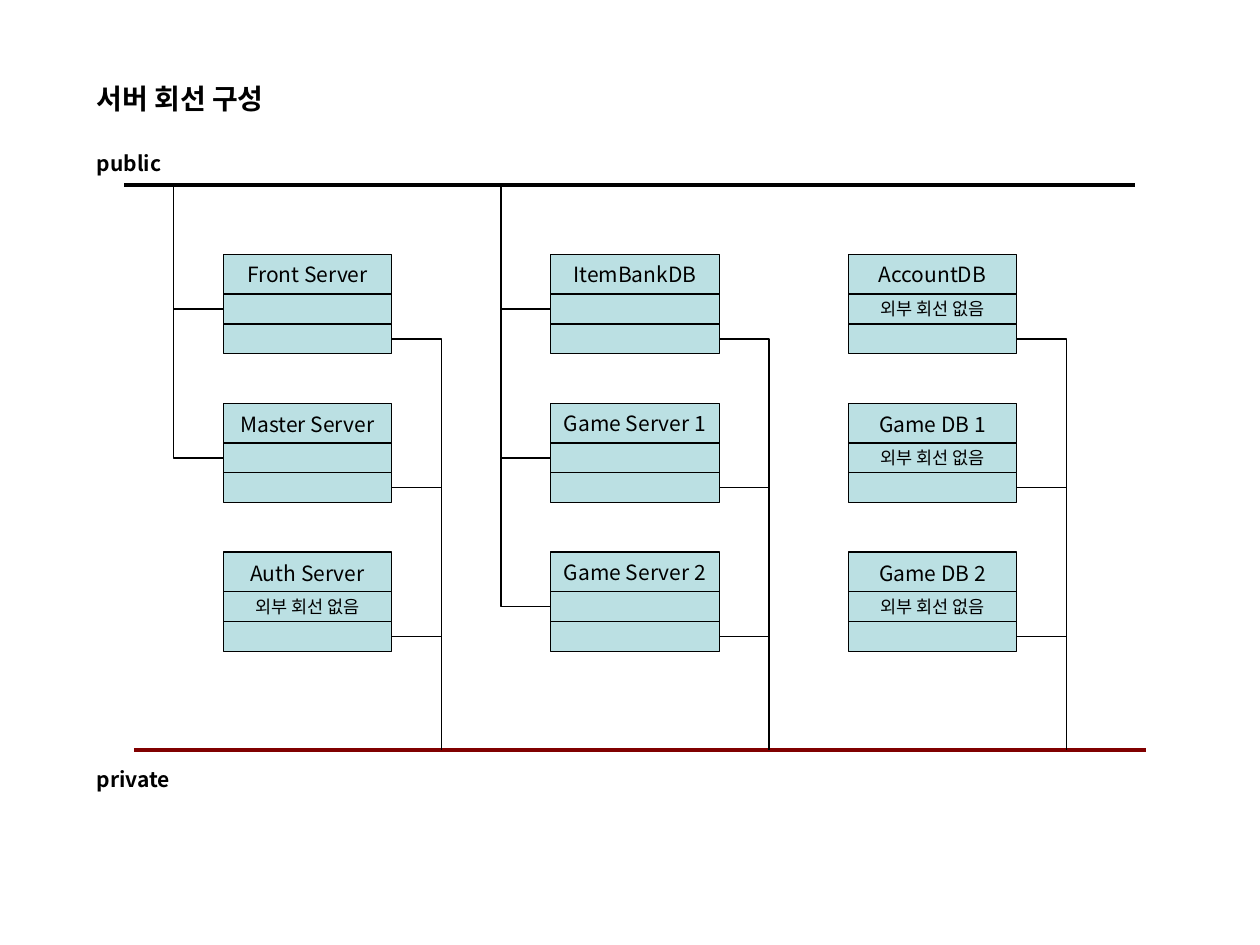
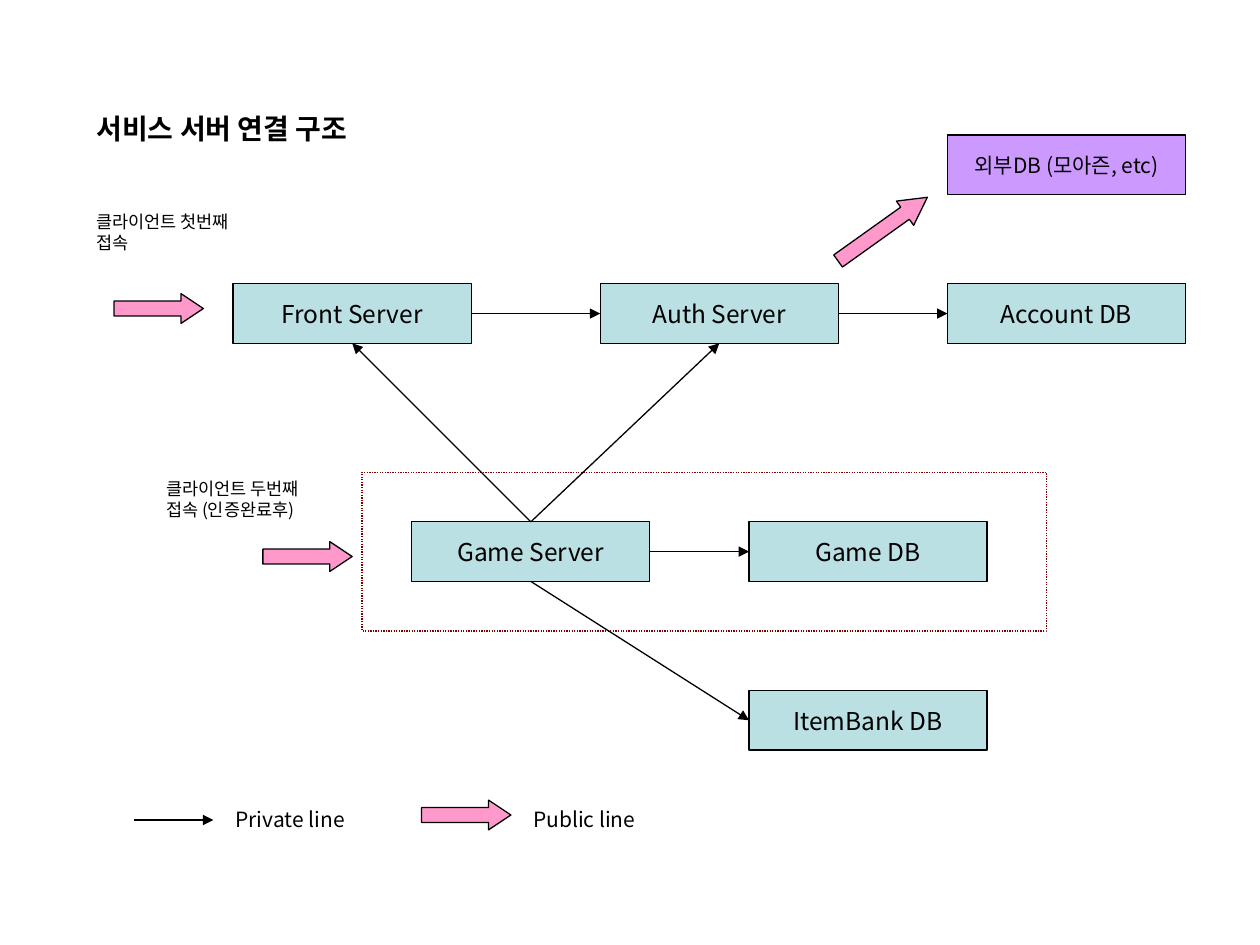
from dataclasses import dataclass
from typing import NamedTuple, Optional

from lxml import etree
from pptx import Presentation
from pptx import util as u
from pptx.dml.color import RGBColor
from pptx.enum import dml, shapes, text
from pptx.oxml import ns


# Theme: colours, type sizes and line widths
@dataclass(frozen=True)
class Theme:
    font: str = "Noto Sans CJK KR"
    black: str = "000000"
    node: str = "BBE0E3"
    external: str = "CC99FF"
    public: str = "FF99CC"
    dark_red: str = "800000"
    title: float = 16
    node_text: float = 14
    label: float = 12
    small: float = 10
    thin: float = 0.75
    wire: float = 1


THEME = Theme()


class Area(NamedTuple):
    left: float
    top: float
    width: float
    height: float

    def lengths(self) -> list:
        return [u.Cm(value) for value in self]


class Server(NamedTuple):
    name: str
    column: int
    row: int
    has_public: bool = True
    header: float = 0.8


class Node(NamedTuple):
    name: str
    left: float
    top: float
    fill: str = THEME.node
    size: float = THEME.node_text


class Link(NamedTuple):
    source: str
    source_side: int
    target: str
    target_side: int


class Arrow(NamedTuple):
    left: float
    top: float
    width: float = 1.8
    head: float = 0.75
    rotation: float = 0


class Label(NamedTuple):
    words: str
    left: float
    top: float
    width: float
    height: float = 0.76
    size: float = THEME.label
    bold: bool = False


TOP, LEFT, BOTTOM, RIGHT = range(4)


# Shared drawing functions
def format_text(shape, words: str, size: float, bold: bool = False) -> None:
    shape.text_frame.text = words
    for para in shape.text_frame.paragraphs:
        for span in para.runs:
            span.font.name = THEME.font
            span.font.size = u.Pt(size)
            span.font.bold = bold
            span.font.color.rgb = RGBColor.from_string(THEME.black)
            east_asian = etree.SubElement(span.font._element, ns.qn("a:ea"))
            east_asian.set("typeface", THEME.font)


def add_preset(page, kind, area: Area, fill: Optional[str], line: str = THEME.black):
    shape = page.shapes.add_shape(kind, *area.lengths())
    shape.shadow.inherit = False
    if fill:
        shape.fill.solid()
        shape.fill.fore_color.rgb = RGBColor.from_string(fill)
    else:
        shape.fill.background()
    shape.line.color.rgb = RGBColor.from_string(line)
    shape.line.width = u.Pt(THEME.thin)
    return shape


def add_box(page, area: Area, words: str = "", size: float = THEME.label,
            fill: str = THEME.node):
    box = add_preset(page, shapes.MSO_SHAPE.RECTANGLE, area, fill)
    if words:
        box.text_frame.word_wrap = False
        box.text_frame.vertical_anchor = text.MSO_ANCHOR.MIDDLE
        format_text(box, words, size)
        box.text_frame.paragraphs[0].alignment = text.PP_ALIGN.CENTER
    return box


def add_label(page, label: Label) -> None:
    area = Area(label.left, label.top, label.width, label.height)
    box = page.shapes.add_textbox(*area.lengths())
    box.text_frame.word_wrap = True
    box.text_frame.auto_size = text.MSO_AUTO_SIZE.SHAPE_TO_FIT_TEXT
    format_text(box, label.words, label.size, label.bold)


def add_title(page, words: str, top: float, width: float) -> None:
    add_label(page, Label(words, 1.7, top, width, 0.94, THEME.title, True))


def add_line(page, x1: float, y1: float, x2: float, y2: float,
             color: str = THEME.black, width: float = THEME.thin,
             kind=shapes.MSO_CONNECTOR.STRAIGHT, arrow: bool = False):
    line = page.shapes.add_connector(kind, u.Cm(x1), u.Cm(y1), u.Cm(x2), u.Cm(y2))
    line.line.color.rgb = RGBColor.from_string(color)
    line.line.width = u.Pt(width)
    properties = line.element.spPr
    if arrow:
        outline = properties.find(ns.qn("a:ln"))
        etree.SubElement(outline, ns.qn("a:tailEnd")).set("type", "triangle")
    etree.SubElement(properties, ns.qn("a:effectLst"))
    return line


def add_elbow(page, box, side: int, x1: float, y1: float, x2: float, y2: float) -> None:
    """Run sideways from a box, then straight up or down to a bus."""
    elbow = add_line(page, x1, y1, x2, y2, width=THEME.wire,
                     kind=shapes.MSO_CONNECTOR.ELBOW)
    elbow.element.spPr.find(ns.qn("a:prstGeom")).set("prst", "bentConnector2")
    elbow.begin_connect(box, side)


def add_public_arrow(page, arrow: Arrow) -> None:
    area = Area(arrow.left, arrow.top, arrow.width, 0.6)
    shape = add_preset(page, shapes.MSO_SHAPE.RIGHT_ARROW, area, THEME.public)
    shape.adjustments[0] = 0.5
    shape.adjustments[1] = arrow.head
    shape.rotation = arrow.rotation


# Slide 1: servers wired to the public and private lines
COLUMNS = (4.5, 11.1, 17.1)
FIRST_ROW, ROW_PITCH = 5.13, 3.0
SERVER_WIDTH, HEADER, PORT = 3.4, 0.8, 0.6
REACH = 1.0
PUBLIC_Y, PRIVATE_Y = 3.73, 15.12
NO_PUBLIC_LINE = "외부 회선 없음"

SERVERS = (
    Server("Front Server", 0, 0),
    Server("Master Server", 0, 1, header=0.86),
    Server("Auth Server", 0, 2, False, 0.86),
    Server("ItemBankDB", 1, 0),
    Server("Game Server 1", 1, 1),
    Server("Game Server 2", 1, 2),
    Server("AccountDB", 2, 0, False),
    Server("Game DB 1", 2, 1, False, 0.86),
    Server("Game DB 2", 2, 2, False, 0.86),
)


def add_server(page, server: Server) -> None:
    left = COLUMNS[server.column]
    right = left + SERVER_WIDTH
    top = FIRST_ROW + server.row * ROW_PITCH
    public_top = top + HEADER
    private_top = public_top + PORT
    add_box(page, Area(left, top, SERVER_WIDTH, server.header), server.name)
    public_port = add_box(page, Area(left, public_top, SERVER_WIDTH, PORT),
                          "" if server.has_public else NO_PUBLIC_LINE, THEME.small)
    private_port = add_box(page, Area(left, private_top, SERVER_WIDTH, PORT))
    if server.has_public:
        add_elbow(page, public_port, LEFT, left, public_top + PORT / 2,
                  left - REACH, PUBLIC_Y)
    add_elbow(page, private_port, RIGHT, right, private_top + PORT / 2,
              right + REACH, PRIVATE_Y)


def build_lines_page(page) -> None:
    add_line(page, 2.5, PUBLIC_Y, 22.88, PUBLIC_Y, width=2)
    add_line(page, 2.7, PRIVATE_Y, 23.1, PRIVATE_Y, THEME.dark_red, 2.5)
    for server in SERVERS:
        add_server(page, server)
    add_title(page, "서버 회선 구성", 1.52, 5.8)
    for words, top in (("public", 2.92), ("private", 15.32)):
        add_label(page, Label(words, 1.7, top, 3.0, bold=True))


# Slide 2: how the service servers connect
NODE_WIDTH, NODE_HEIGHT = 4.8, 1.2
NODES = (
    Node("Front Server", 4.7, 5.72),
    Node("Auth Server", 12.1, 5.72),
    Node("Account DB", 19.1, 5.72),
    Node("Game Server", 8.3, 10.52),
    Node("Game DB", 15.1, 10.52),
    Node("ItemBank DB", 15.1, 13.92),
    Node("외부DB (모아즌, etc)", 19.1, 2.72, THEME.external, THEME.label),
)
LINKS = (
    Link("Front Server", RIGHT, "Auth Server", LEFT),
    Link("Auth Server", RIGHT, "Account DB", LEFT),
    Link("Game Server", TOP, "Front Server", BOTTOM),
    Link("Game Server", TOP, "Auth Server", BOTTOM),
    Link("Game Server", RIGHT, "Game DB", LEFT),
    Link("Game Server", BOTTOM, "ItemBank DB", LEFT),
)
PUBLIC_ARROWS = (
    Arrow(2.3, 5.92),
    Arrow(5.3, 10.92),
    Arrow(8.5, 16.13),
    Arrow(16.69, 4.32, 2.21, 0.92, 324.5),
)
LABELS = (
    Label("클라이언트 첫번째 접속", 1.7, 4.12, 3.8, 1.12, THEME.small),
    Label("클라이언트 두번째 접속 (인증완료후)", 3.1, 9.52, 3.8, 1.12, THEME.small),
    Label("Private line", 4.5, 16.13, 3.2),
    Label("Public line", 10.5, 16.13, 3.2),
)


def build_connections_page(page) -> None:
    game_zone = add_preset(page, shapes.MSO_SHAPE.RECTANGLE,
                           Area(7.3, 9.52, 13.8, 3.2), None, THEME.dark_red)
    game_zone.line.dash_style = dml.MSO_LINE.ROUND_DOT
    boxes = {
        node.name: add_box(page, Area(node.left, node.top, NODE_WIDTH, NODE_HEIGHT),
                           node.name, node.size, node.fill)
        for node in NODES
    }
    for link in LINKS:
        line = add_line(page, 0, 0, 1, 1, arrow=True)
        line.begin_connect(boxes[link.source], link.source_side)
        line.end_connect(boxes[link.target], link.target_side)
    for arrow in PUBLIC_ARROWS:
        add_public_arrow(page, arrow)
    add_line(page, 2.7, 16.53, 4.3, 16.53, arrow=True)
    for label in LABELS:
        add_label(page, label)
    add_title(page, "서비스 서버 연결 구조", 2.12, 6.6)


def main() -> None:
    deck = Presentation()
    deck.slide_width, deck.slide_height = u.Cm(25.4), u.Cm(19.05)
    blank = deck.slide_layouts[6]
    for build in (build_lines_page, build_connections_page):
        build(deck.slides.add_slide(blank))
    deck.save("out.pptx")


if __name__ == "__main__":
    main()
